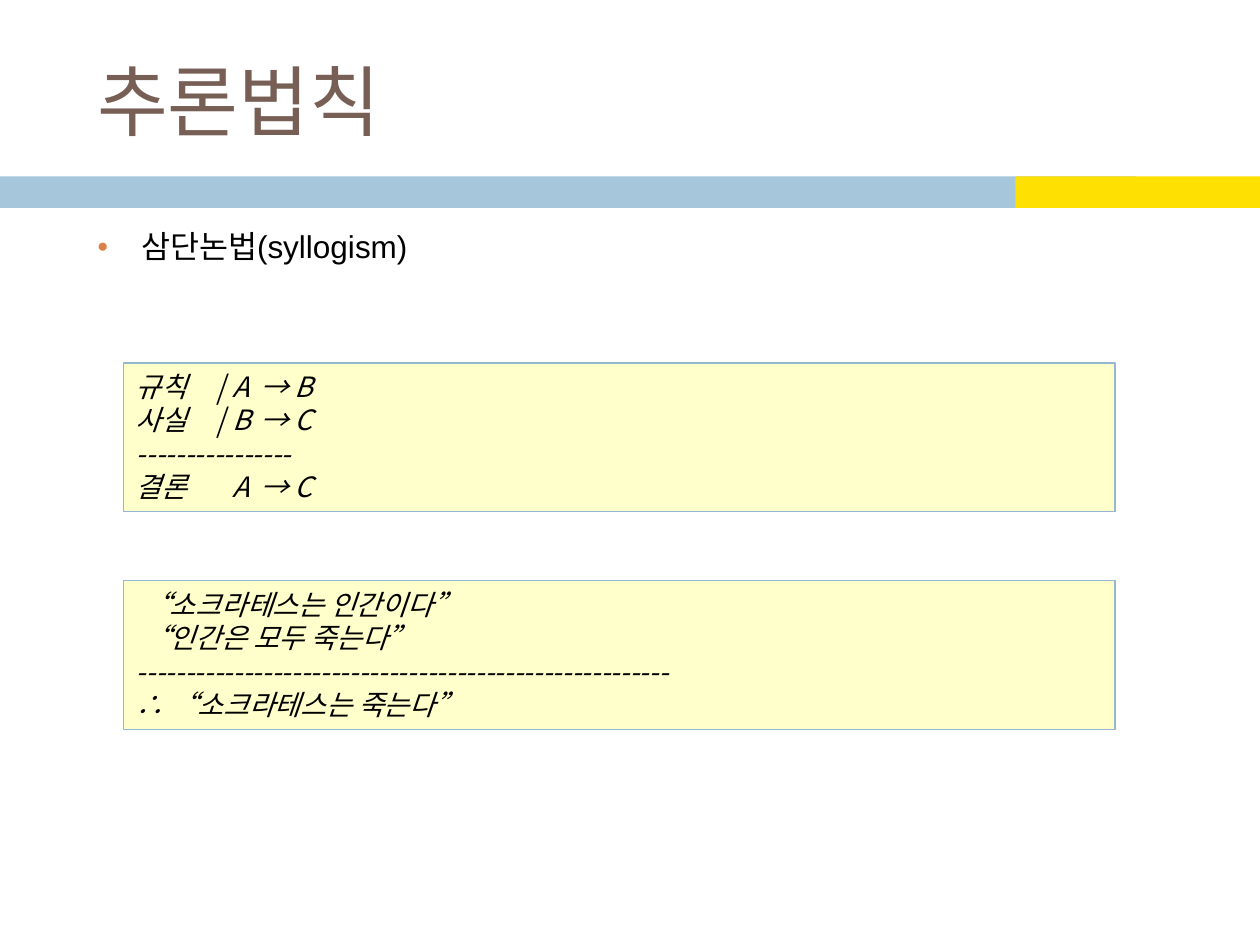
"""Build the slide on rules of inference and the syllogism."""
from dataclasses import dataclass

from lxml import etree
from pptx import Presentation, util as u
from pptx.dml.color import RGBColor
from pptx.enum import shapes, text
from pptx.oxml import ns

TITLE = "추론법칙"
BULLETS = ["삼단논법(syllogism)"]
EXAMPLES = [
    ["규칙\t|\tA\t→ B", "사실\t|\tB\t→ C", "-" * 16, "결론\t\tA\t→ C"],
    [" “소크라테스는 인간이다”", " “인간은 모두 죽는다”", "-" * 55, "∴ “소크라테스는 죽는다”"],
]
TAB_STOPS = (0.64, 0.77, 0.99)
WIDTH, HEIGHT = 10, 7.5
MARGIN, CONTENT_WIDTH = 0.67, 8.92
BOX_LEFT, BOX_WIDTH, BOX_HEIGHT = 0.98, 7.87, 1.18
FIRST_BOX_TOP, BOX_PITCH = 2.88, 1.73
BAR_TOP, BAR_HEIGHT = 1.4, 0.25


@dataclass(frozen=True)
class Theme:
    title: str = "775F55"
    ink: str = "000000"
    bar: str = "A5C6DB"
    accent: str = "FEE002"
    bullet: str = "DD8047"
    box: str = "FFFFCC"
    border: str = "94B6D2"
    title_size: int = 44
    body_size: int = 18
    example_size: int = 16


THEME = Theme()


def place(item, left, top, width, height):
    item.left, item.top, item.width, item.height = map(u.Inches, (left, top, width, height))


def style(para, name, size, color, italic=None):
    para.alignment = text.PP_ALIGN.LEFT
    para.font.name, para.font.size, para.font.italic = name, u.Pt(size), italic
    para.font.color.rgb = RGBColor.from_string(color)


def add_rectangle(page, left, top, width, height, fill, line=None):
    box = page.shapes.add_shape(
        shapes.MSO_SHAPE.RECTANGLE, *map(u.Inches, (left, top, width, height)))
    box.shadow.inherit = False
    box.fill.solid()
    box.fill.fore_color.rgb = RGBColor.from_string(fill)
    if line:
        box.line.color.rgb = RGBColor.from_string(line)
        box.line.width = u.Pt(0.75)
    else:
        box.line.fill.background()
    return box


def add_bullet(para):
    props = para._p.get_or_add_pPr()
    props.set("marL", str(u.Inches(0.35)))
    props.set("indent", str(-u.Inches(0.35)))
    color = etree.SubElement(props, ns.qn("a:buClr"))
    etree.SubElement(color, ns.qn("a:srgbClr"), val=THEME.bullet)
    etree.SubElement(props, ns.qn("a:buSzPct"), val="60000")
    etree.SubElement(props, ns.qn("a:buFont"), typeface="Arial")
    etree.SubElement(props, ns.qn("a:buChar"), char="●")


def add_tabs(para):
    tabs = etree.SubElement(para._p.get_or_add_pPr(), ns.qn("a:tabLst"))
    for stop in TAB_STOPS:
        etree.SubElement(tabs, ns.qn("a:tab"), pos=str(u.Inches(stop)), algn="l")


def add_example(page, top, lines):
    box = add_rectangle(page, BOX_LEFT, top, BOX_WIDTH, BOX_HEIGHT, THEME.box, THEME.border)
    frame = box.text_frame
    frame.word_wrap = True
    frame.vertical_anchor = text.MSO_ANCHOR.TOP
    frame.text = "\n".join(lines)
    for para in frame.paragraphs:
        if "\t" in para.text:
            add_tabs(para)
        style(para, "Noto Sans CJK KR", THEME.example_size, THEME.ink, True)


def main():
    deck = Presentation()
    deck.slide_width, deck.slide_height = u.Inches(WIDTH), u.Inches(HEIGHT)
    page = deck.slides.add_slide(deck.slide_layouts[1])

    add_rectangle(page, 0, BAR_TOP, 9.02, BAR_HEIGHT, THEME.bar)
    add_rectangle(page, 8.06, BAR_TOP, WIDTH - 8.06, BAR_HEIGHT, THEME.accent)

    title, body = page.placeholders
    place(title, MARGIN, 0.25, CONTENT_WIDTH, 1.08)
    title.text_frame.text = TITLE
    title.text_frame.vertical_anchor = text.MSO_ANCHOR.MIDDLE
    style(title.text_frame.paragraphs[0], "Calibri", THEME.title_size, THEME.title)

    place(body, MARGIN, 1.75, CONTENT_WIDTH, 4.92)
    body.text_frame.text = "\n".join(BULLETS)
    for number, para in enumerate(body.text_frame.paragraphs):
        add_bullet(para)
        para.space_before = u.Pt(7 if number else 0)
        style(para, "Arial", THEME.body_size, THEME.ink)

    for row, lines in enumerate(EXAMPLES):
        add_example(page, FIRST_BOX_TOP + row * BOX_PITCH, lines)
    deck.save("out.pptx")


if __name__ == "__main__":
    main()
